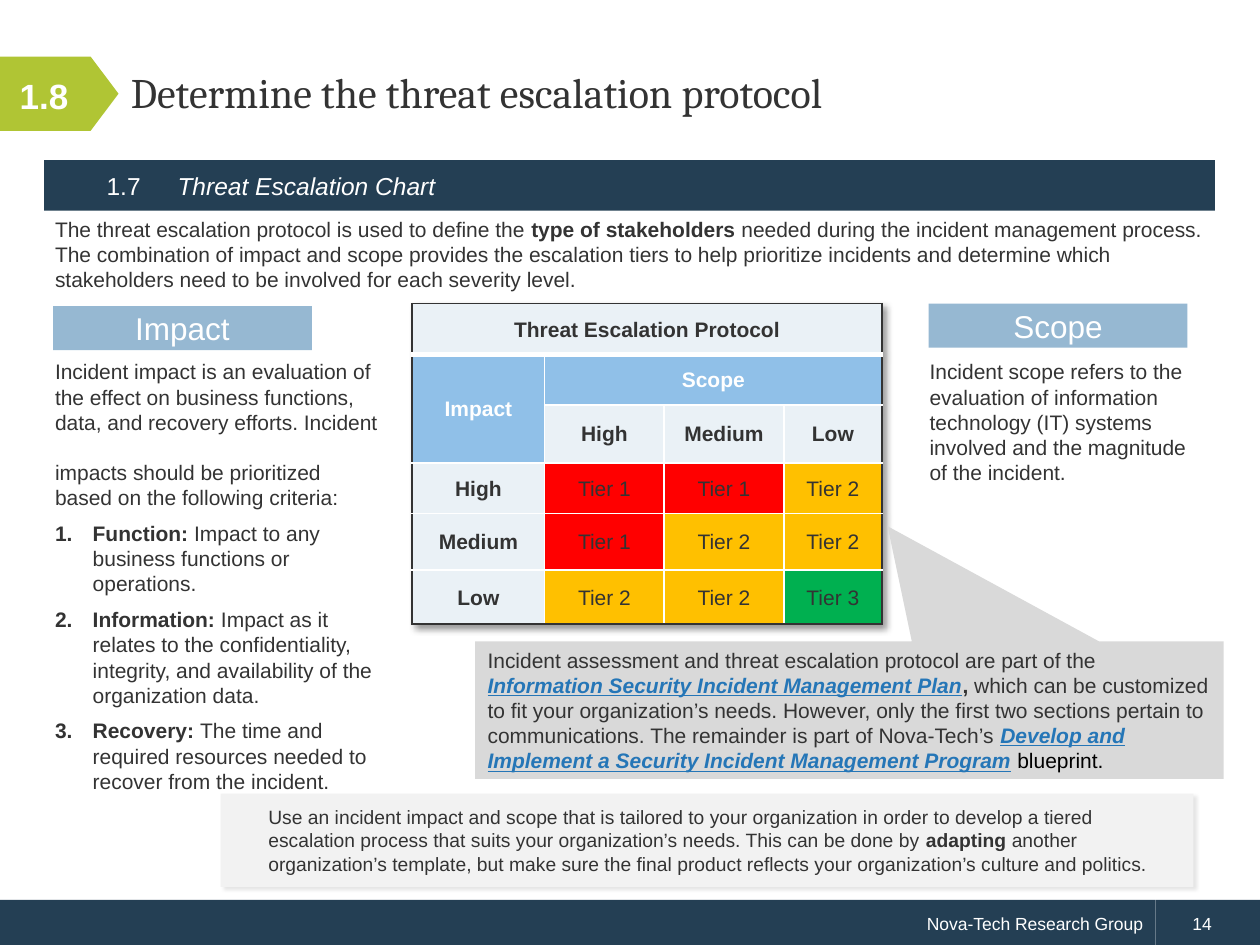
import copy

import pptx
import pptx.dml.color
import pptx.enum.shapes
import pptx.enum.text
import pptx.oxml
import pptx.oxml.ns
import pptx.util
from lxml import etree

Cm, Pt = pptx.util.Cm, pptx.util.Pt
qn = pptx.oxml.ns.qn
SHAPE = pptx.enum.shapes.MSO_SHAPE
ALIGN = pptx.enum.text.PP_ALIGN
ANCHOR = pptx.enum.text.MSO_ANCHOR

COLOURS = {
    "navy": "243F54", "lime": "B0C534", "white": "FFFFFF", "ink": "333333", "black": "000000",
    "label": "96B8D2", "head": "90C0E8", "pale": "EAF1F6", "link": "2576B7",
    "callout": "D9D9D9", "tip": "F2F2F2",
    "Tier 1": "FF0000", "Tier 2": "FFC000", "Tier 3": "00B050",
}
BOLD = {"bold": True}
LINK = {"bold": True, "italic": True, "underline": True, "colour": "link"}

# A paragraph is a list of (text, style) spans; \v is a line break.
INTRO = [[
    ("The threat escalation protocol is used to define the ", {}),
    ("type of stakeholders ", BOLD),
    ("needed during the incident management process. The combination of impact and scope provides "
     "the escalation tiers to help prioritize incidents and determine which stakeholders need to "
     "be involved for each severity level.", {}),
]]
IMPACT = [
    [("Incident impact is an evaluation of the effect on business functions, data, and recovery "
      "efforts. Incident \vimpacts should be prioritized \vbased on the following criteria:", {})],
    [("Function:", BOLD), (" Impact to any business functions or operations.", {})],
    [("Information:", BOLD), (" Impact as it relates to the confidentiality, integrity, and "
                              "availability of the organization data.", {})],
    [("Recovery: ", BOLD), ("The time and required resources needed to recover from the "
                            "incident.", {})],
]
SCOPE = [[("Incident scope refers to the evaluation of information technology (IT) systems "
           "\vinvolved and the magnitude \vof the incident.", {})]]
CALLOUT = [[
    ("Incident assessment and threat escalation protocol are part of the ", {}),
    ("Information Security Incident Management Plan", LINK),
    (", ", BOLD),
    ("which can be customized to fit your organization’s needs. However, only the first two "
     "sections pertain to communications. The remainder is part of Nova-Tech’s ", {}),
    ("Develop and Implement a Security Incident Management Program", LINK),
    (" blueprint.", {"colour": "black"}),
]]
TIP = [[
    ("Use an incident impact and scope that is tailored to your organization in order to develop "
     "a tiered escalation process that suits your organization’s needs. This can be done by ", {}),
    ("adapting", BOLD),
    (" another organization’s template, but make sure the final product reflects your "
     "organization’s culture and politics.", {}),
]]

MATRIX = [
    ["Threat Escalation Protocol", "", "", ""],
    ["Impact", "Scope", "", ""],
    ["", "High", "Medium", "Low"],
    ["High", "Tier 1", "Tier 1", "Tier 2"],
    ["Medium", "Tier 1", "Tier 2", "Tier 2"],
    ["Low", "Tier 2", "Tier 2", "Tier 3"],
]
MERGES = [((0, 0), (0, 3)), ((1, 0), (2, 0)), ((1, 1), (1, 3))]
COLUMNS = [2.67, 2.41, 2.41, 1.98]
ROWS = [1.02, 1.02, 1.17, 1.02, 1.14, 1.09]


def rgb(name):
    return pptx.dml.color.RGBColor.from_string(COLOURS[name])


def style_font(font, size, colour="ink", face="Arial", bold=False, italic=False, underline=False):
    font.name, font.size, font.bold, font.italic = face, Pt(size), bold, italic
    if underline:
        font.underline = True
    font.color.rgb = rgb(colour)


def write(frame, paragraphs, size, align=ALIGN.LEFT, anchor=ANCHOR.MIDDLE, after=0, **base):
    frame.word_wrap = True
    frame.vertical_anchor = anchor
    for index, spans in enumerate(paragraphs):
        para = frame.add_paragraph() if index else frame.paragraphs[0]
        para.alignment, para.space_after = align, Pt(after)
        for text, style in spans:
            for number, piece in enumerate(text.split("\v")):
                if number:
                    para.add_line_break()
                span = para.add_run()
                span.text = piece
                style_font(span.font, size, **{**base, **style})
        for line_break in para._p.findall(qn("a:br")):
            line_break.append(copy.deepcopy(para.runs[0]._r.rPr))


def add_text(page, place, paragraphs, size, **options):
    box = page.shapes.add_textbox(*map(Cm, place))
    write(box.text_frame, paragraphs, size, **options)
    return box


def add_block(page, place, fill, paragraphs=(), size=12, kind=SHAPE.RECTANGLE, **options):
    box = page.shapes.add_shape(kind, *map(Cm, place))
    box.shadow.inherit = False
    box.fill.solid()
    box.fill.fore_color.rgb = rgb(fill)
    box.line.fill.background()
    write(box.text_frame, paragraphs, size, **options)
    return box


def indent(para, left, first=0):
    properties = para._p.get_or_add_pPr()
    properties.set("marL", str(Cm(left)))
    properties.set("indent", str(Cm(first)))
    return properties


def add_shadow(effects, blur, distance, opacity):
    shadow = etree.SubElement(effects, qn("a:outerShdw"), blurRad=str(Pt(blur)),
                              dist=str(Pt(distance)), dir="2700000", algn="tl", rotWithShape="0")
    colour = etree.SubElement(shadow, qn("a:srgbClr"), val=COLOURS["black"])
    etree.SubElement(colour, qn("a:alpha"), val=str(opacity * 1000))


def set_borders(cell, sides):
    properties = cell._tc.get_or_add_tcPr()
    for tag, (colour, width) in sides.items():
        line = etree.SubElement(properties, qn("a:" + tag), w=str(Pt(width)))
        fill = etree.SubElement(line, qn("a:solidFill"))
        etree.SubElement(fill, qn("a:srgbClr"), val=COLOURS[colour])


def add_matrix(page, left, top):
    frame = page.shapes.add_table(len(ROWS), len(COLUMNS), Cm(left), Cm(top),
                                  Cm(sum(COLUMNS)), Cm(sum(ROWS)))
    table = frame.table
    table.first_row = table.horz_banding = False
    effects = etree.Element(qn("a:effectLst"))
    table._tbl.tblPr.insert(0, effects)
    add_shadow(effects, 4, 3, 40)
    for column, width in zip(table.columns, COLUMNS):
        column.width = Cm(width)
    for row, height in zip(table.rows, ROWS):
        row.height = Cm(height)
    for start, end in MERGES:
        table.cell(*start).merge(table.cell(*end))
    last_row, last_column = len(ROWS) - 1, len(COLUMNS) - 1
    for r, labels in enumerate(MATRIX):
        for c, label in enumerate(labels):
            cell = table.cell(r, c)
            right, bottom = c + cell.span_width - 1, r + cell.span_height - 1
            edge, inner = ("ink", 1), ("white", 1)
            set_borders(cell, {
                "lnL": edge if c == 0 else inner,
                "lnR": edge if max(c, right) == last_column else inner,
                "lnT": edge if r == 0 else ("white", 3 if r == 1 else 1),
                "lnB": edge if max(r, bottom) == last_row else ("white", 1 if r else 3),
            })
            is_head, is_tier = r == 1, label in COLOURS
            cell.fill.solid()
            cell.fill.fore_color.rgb = rgb(label if is_tier else "head" if is_head else "pale")
            cell.margin_left = cell.margin_right = Cm(0.18)
            cell.margin_top = cell.margin_bottom = 0
            cell.vertical_anchor = ANCHOR.MIDDLE
            para = cell.text_frame.paragraphs[0]
            para.text = label
            para.alignment, para.line_spacing = ALIGN.CENTER, 1.07
            for span in para.runs:
                style_font(span.font, 12, "white" if is_head else "ink", bold=not is_tier)


def main():
    deck = pptx.Presentation()
    deck.slide_width, deck.slide_height = Cm(25.4), Cm(19.05)
    page = deck.slides.add_slide(deck.slide_layouts[6])

    add_block(page, (0, 18.14, 23.29, 0.94), "navy", [[("Nova-Tech Research Group", {})]], 10,
              align=ALIGN.RIGHT, colour="white")
    number = add_block(page, (23.29, 18.14, 2.11, 0.94), "navy", [[("14", {})]], 10,
                       colour="white")
    indent(number.text_frame.paragraphs[0], 0.5)

    add_block(page, (0.89, 3.23, 23.6, 1.02), "navy")
    tab = add_block(page, (0, 1.14, 2.39, 1.5), "lime", kind=SHAPE.PENTAGON)
    tab.adjustments[0] = 0.376
    title = add_text(page, (2.39, 0.71, 22.25, 2.39),
                     [[("Determine the threat escalation protocol", {})]], 24, face="Cambria")
    title.text_frame.paragraphs[0].line_spacing = Pt(26)
    add_text(page, (3.33, 3.25, 20.62, 0.97), [[("Threat Escalation Chart", {})]], 14,
             colour="white", italic=True)
    add_text(page, (1.9, 3.25, 1.24, 0.97), [[("1.7", {})]], 14, colour="white")
    add_text(page, (0, 0.69, 1.78, 2.49), [[("1.8", {})]], 20, align=ALIGN.CENTER,
             colour="white", bold=True)

    for label, left, top in [("Impact", 1.07, 6.17), ("Scope", 18.72, 6.12)]:
        add_block(page, (left, top, 5.22, 0.89), "label", [[(label, {})]], 18,
                  align=ALIGN.CENTER, colour="white")
    add_matrix(page, 8.31, 6.12)

    add_text(page, (0.86, 4.24, 23.8, 1.8), INTRO, 12, anchor=ANCHOR.TOP)
    impact = add_text(page, (0.86, 7.11, 7.11, 8.59), IMPACT, 12, anchor=ANCHOR.TOP, after=6)
    for para in impact.text_frame.paragraphs[1:]:
        etree.SubElement(indent(para, 0.76, -0.76), qn("a:buAutoNum"), type="arabicPeriod")
    add_text(page, (18.49, 7.11, 6.68, 2.82), SCOPE, 12, anchor=ANCHOR.TOP)

    callout = add_block(page, (9.58, 12.93, 15.09, 2.77), "callout", CALLOUT,
                        kind=SHAPE.RECTANGULAR_CALLOUT)
    callout.adjustments[0], callout.adjustments[1] = 0.051, -1.338
    tip = add_block(page, (4.45, 16, 19.61, 1.88), "tip", TIP, 11)
    indent(tip.text_frame.paragraphs[0], 0.71)
    add_shadow(tip._element.spPr.find(qn("a:effectLst")), 2, 2, 10)

    deck.save("out.pptx")


if __name__ == "__main__":
    main()
